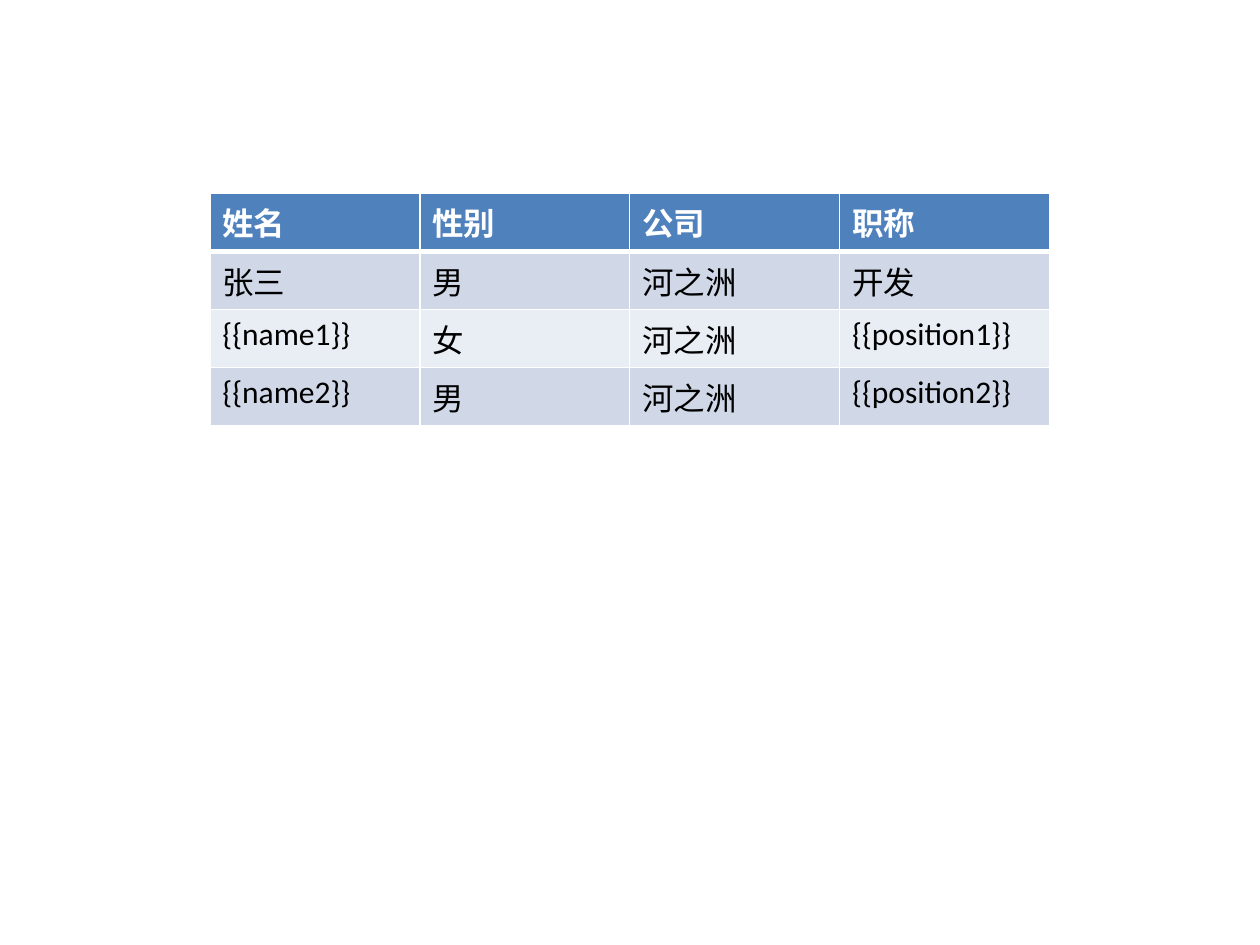
from lxml.etree import SubElement
from pptx import Presentation
from pptx.dml.color import RGBColor
from pptx.oxml.ns import qn
from pptx.util import Cm, Pt

WHITE = RGBColor(0xFF, 0xFF, 0xFF)
BLACK = RGBColor(0x00, 0x00, 0x00)
HEADER_BLUE = RGBColor(0x4F, 0x81, 0xBD)
BAND_DARK = RGBColor(0xD0, 0xD8, 0xE8)
BAND_LIGHT = RGBColor(0xE9, 0xED, 0xF4)

STAFF = [
    ["姓名", "性别", "公司", "职称"],
    ["张三", "男", "河之洲", "开发"],
    ["{{name1}}", "女", "河之洲", "{{position1}}"],
    ["{{name2}}", "男", "河之洲", "{{position2}}"],
]


def set_borders(cell, widths):
    properties = cell._tc.get_or_add_tcPr()
    for index, (side, width) in enumerate(widths.items()):
        line = SubElement(properties, qn(f"a:{side}"), w=str(Pt(width)))
        fill = SubElement(line, qn("a:solidFill"))
        SubElement(fill, qn("a:srgbClr"), val=str(WHITE))
        properties.remove(line)
        properties.insert(index, line)


def fill_cell(cell, text, row):
    is_header = row == 0
    cell.fill.solid()
    if is_header:
        cell.fill.fore_color.rgb = HEADER_BLUE
    else:
        cell.fill.fore_color.rgb = BAND_DARK if row % 2 else BAND_LIGHT
    set_borders(cell, {
        "lnL": 1,
        "lnR": 1,
        "lnT": 3 if row == 1 else 1,
        "lnB": 3 if is_header else 1,
    })
    run = cell.text_frame.paragraphs[0].add_run()
    run.text = text
    run.font.name = "Calibri"
    run.font.size = Pt(18)
    run.font.bold = is_header
    run.font.color.rgb = WHITE if is_header else BLACK


def add_staff_table(slide, left, top, width, height):
    frame = slide.shapes.add_table(
        len(STAFF), len(STAFF[0]), left, top, width, height
    )
    table = frame.table
    for row, texts in enumerate(STAFF):
        for column, text in enumerate(texts):
            fill_cell(table.cell(row, column), text, row)


def main():
    presentation = Presentation()
    presentation.slide_width = Cm(25.4)
    presentation.slide_height = Cm(19.05)
    slide = presentation.slides.add_slide(presentation.slide_layouts[6])
    add_staff_table(slide, Cm(4.23), Cm(3.89), Cm(16.93), Cm(4.12))
    presentation.save("out.pptx")


if __name__ == "__main__":
    main()
